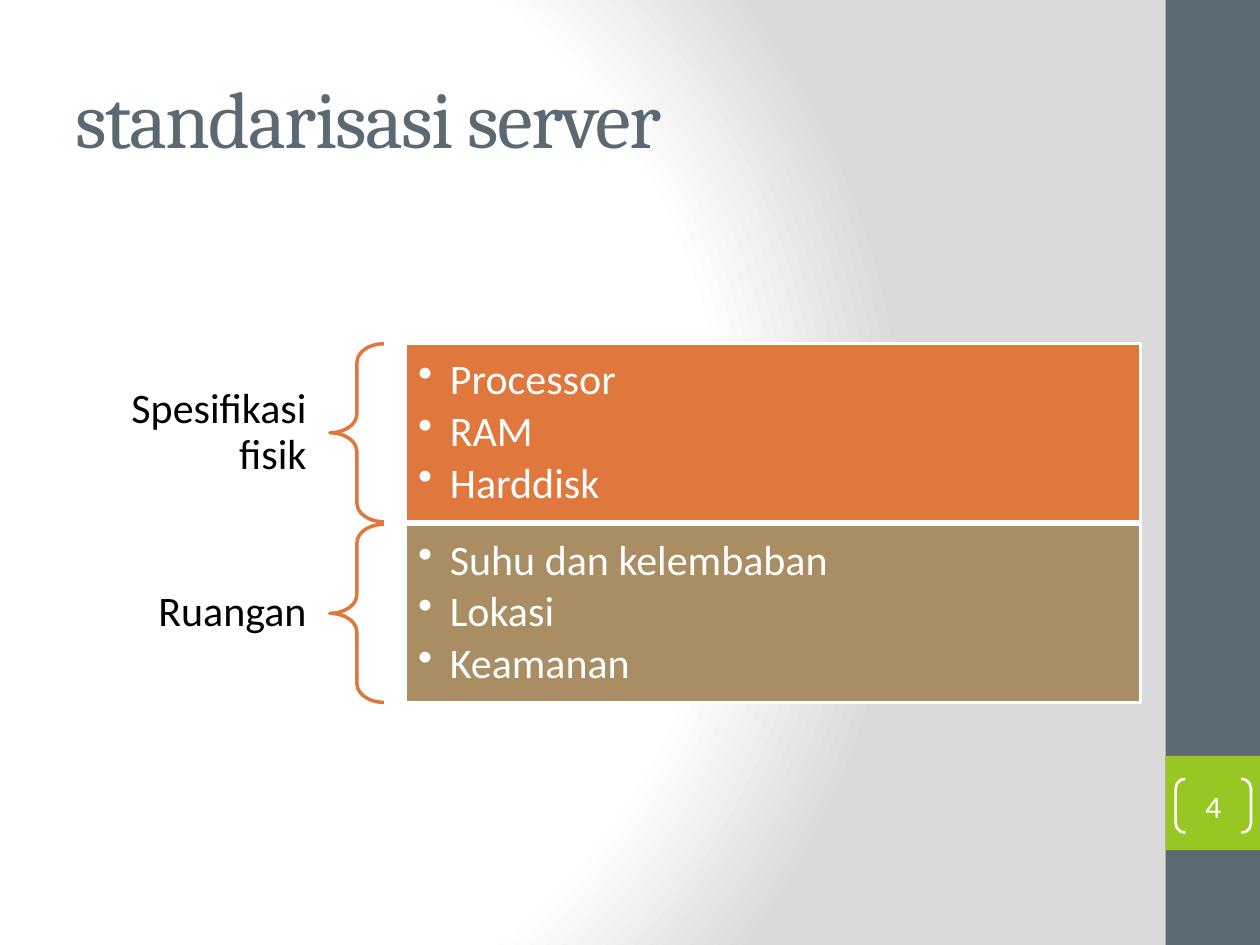
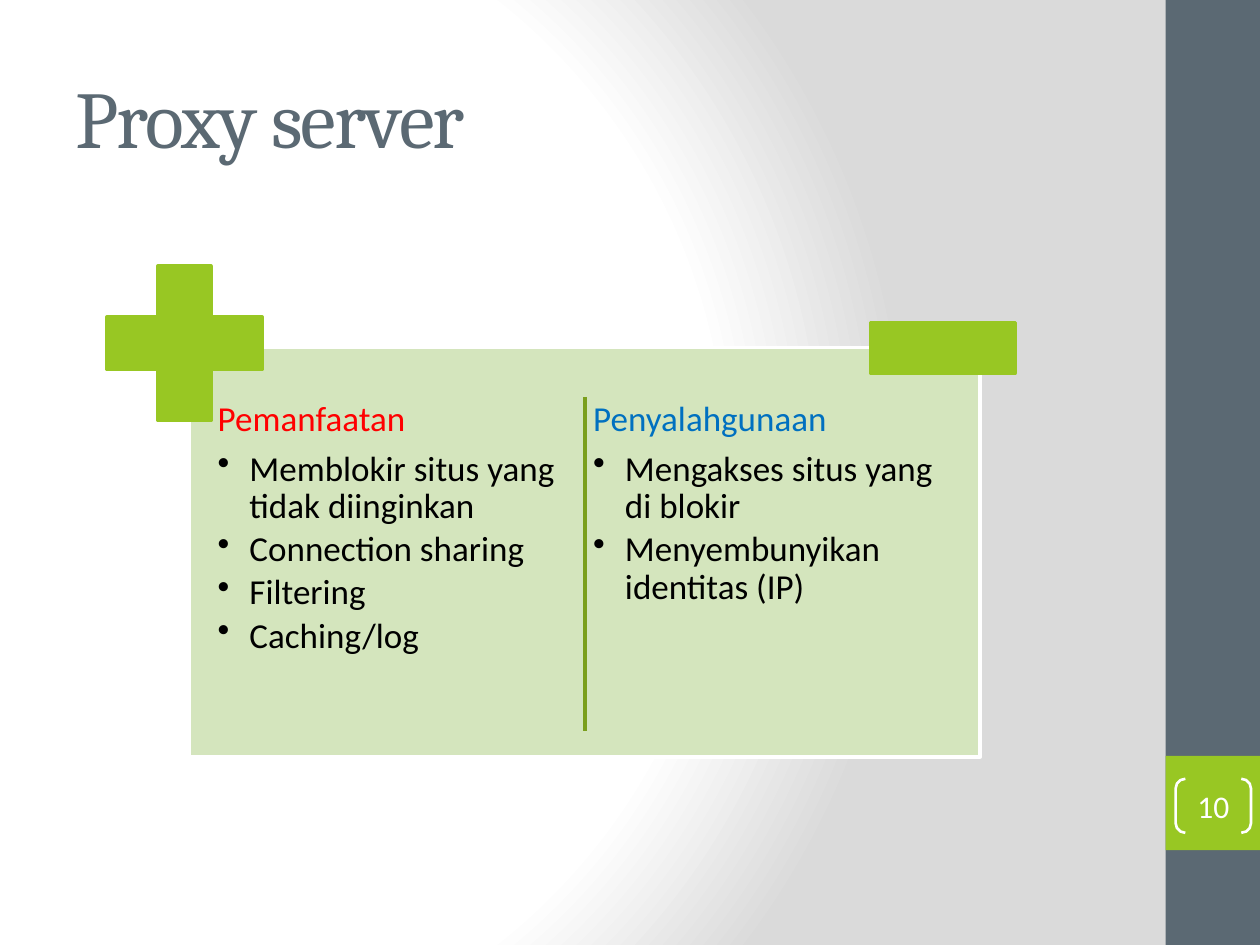
from dataclasses import dataclass
from typing import Optional

import pptx
import pptx.dml.color
import pptx.enum.shapes
import pptx.enum.text
import pptx.oxml
import pptx.oxml.ns
import pptx.util

Cm = pptx.util.Cm
Pt = pptx.util.Pt
SHAPE = pptx.enum.shapes.MSO_SHAPE
ALIGN = pptx.enum.text.PP_ALIGN
ANCHOR = pptx.enum.text.MSO_ANCHOR

SLATE, GREEN, ORANGE, TAN = "5B6973", "98C723", "E0773C", "A98D63"
PALE_GREEN, DARK_GREEN = "D4E5BD", "7A9F1C"
WHITE, BLACK, RED, BLUE = "FFFFFF", "000000", "FF0000", "0070C0"
HEADING_FONT, BODY_FONT = "Cambria", "Calibri"

SLIDE_WIDTH, SLIDE_HEIGHT = 25.4, 19.05
BAND_LEFT, BAND_WIDTH = 23.5, 1.9
BACKGROUND_STOPS = ((0, WHITE), (75, WHITE), (100, "DADADA"))


@dataclass(frozen=True)
class Box:
    left: float
    top: float
    width: float
    height: float

    def lengths(self) -> tuple:
        return Cm(self.left), Cm(self.top), Cm(self.width), Cm(self.height)


@dataclass(frozen=True)
class Line:
    text: str
    color: str
    size: float
    font: str = BODY_FONT
    bullet: bool = False
    align: Optional[ALIGN] = None
    line_spacing: Optional[float] = None
    space_after: float = 0
    tracking: int = 0


@dataclass(frozen=True)
class Category:
    name: str
    items: tuple
    fill: str


@dataclass(frozen=True)
class Column:
    left: float
    heading: str
    color: str
    items: tuple


def rgb(color: str) -> pptx.dml.color.RGBColor:
    return pptx.dml.color.RGBColor.from_string(color)


def set_background(master) -> None:
    master.background.fill.solid()
    properties = master.element.find(".//" + pptx.oxml.ns.qn("p:bgPr"))
    stops = "".join(
        f'<a:gs pos="{position * 1000}"><a:srgbClr val="{color}"/></a:gs>'
        for position, color in BACKGROUND_STOPS
    )
    gradient = pptx.oxml.parse_xml(
        f'<a:gradFill {pptx.oxml.ns.nsdecls("a")} rotWithShape="1"><a:gsLst>{stops}</a:gsLst>'
        '<a:path path="circle"><a:fillToRect l="20000" t="50000" r="100000" b="50000"/>'
        "</a:path></a:gradFill>"
    )
    properties.replace(properties[0], gradient)


def add_bullet(paragraph) -> None:
    properties = paragraph._p.get_or_add_pPr()
    indent = Cm(0.64)
    properties.set("marL", str(indent))
    properties.set("indent", str(-indent))
    properties.append(pptx.oxml.parse_xml(
        f'<a:buChar {pptx.oxml.ns.nsdecls("a")} char="•"/>'))


def write(shape, lines: list, anchor: ANCHOR, inset_x: float, inset_y: float) -> None:
    frame = shape.text_frame
    frame.word_wrap = True
    frame.vertical_anchor = anchor
    frame.margin_left = frame.margin_right = Cm(inset_x)
    frame.margin_top = frame.margin_bottom = Cm(inset_y)
    frame.text = "\n".join(line.text for line in lines)
    for paragraph, line in zip(frame.paragraphs, lines):
        if line.bullet:
            add_bullet(paragraph)
        paragraph.alignment = line.align or ALIGN.LEFT
        paragraph.line_spacing = line.line_spacing
        paragraph.space_after = Pt(line.space_after)
        for run in paragraph.runs:
            run.font.name = line.font
            run.font.size = Pt(line.size)
            run.font.color.rgb = rgb(line.color)
            if line.tracking:
                run.font._element.set("spc", str(line.tracking * 100))


def add_text(slide, box: Box, lines: list, anchor: ANCHOR,
             inset_x: float = 0.25, inset_y: float = 0.13) -> None:
    write(slide.shapes.add_textbox(*box.lengths()), lines, anchor, inset_x, inset_y)


def add_shape(slide, kind: SHAPE, box: Box, fill: Optional[str] = None,
              line: Optional[str] = None, line_width: float = 2, adjustments: tuple = ()):
    shape = slide.shapes.add_shape(kind, *box.lengths())
    shape.shadow.inherit = False
    for index, value in enumerate(adjustments):
        shape.adjustments[index] = value
    if fill:
        shape.fill.solid()
        shape.fill.fore_color.rgb = rgb(fill)
    else:
        shape.fill.background()
    if line:
        shape.line.color.rgb = rgb(line)
        shape.line.width = Pt(line_width)
    else:
        shape.line.fill.background()
    return shape


def add_vertical_line(slide, x: float, top: float, bottom: float, color: str) -> None:
    connector = slide.shapes.add_connector(
        pptx.enum.shapes.MSO_CONNECTOR.STRAIGHT, Cm(x), Cm(top), Cm(x), Cm(bottom))
    connector.line.color.rgb = rgb(color)
    connector.line.width = Pt(2)
    connector._element.spPr.append(
        pptx.oxml.parse_xml(f'<a:effectLst {pptx.oxml.ns.nsdecls("a")}/>'))


def bullet_lines(items: tuple, color: str, size: float) -> list:
    return [Line(item, color, size, bullet=True, line_spacing=0.9, space_after=size * 0.15)
            for item in items]


def heading_line(text: str, color: str, size: float, align: ALIGN = ALIGN.LEFT) -> Line:
    return Line(text, color, size, align=align, line_spacing=0.9, space_after=size * 0.35)


def add_base_slide(presentation, title: str, number: int):
    slide = presentation.slides.add_slide(presentation.slide_layouts[6])
    add_shape(slide, SHAPE.RECTANGLE, Box(BAND_LEFT, 0, BAND_WIDTH, SLIDE_HEIGHT), SLATE)
    add_shape(slide, SHAPE.RECTANGLE, Box(BAND_LEFT, 15.24, BAND_WIDTH, BAND_WIDTH), GREEN)
    add_text(slide, Box(1.27, 0.76, 21.16, 3.17),
             [Line(title, SLATE, 46, font=HEADING_FONT, tracking=-1)], ANCHOR.MIDDLE)
    bracket = add_shape(slide, SHAPE.DOUBLE_BRACKET, Box(23.7, 15.7, 1.52, 1.09),
                        line=WHITE, line_width=1.5, adjustments=(0.18,))
    write(bracket, [Line(str(number), WHITE, 18, align=ALIGN.CENTER)], ANCHOR.MIDDLE, 0, 0)
    return slide


def add_standards_slide(presentation) -> None:
    slide = add_base_slide(presentation, "standarisasi server", 4)
    categories = (
        Category("Spesifikasi fisik", ("Processor", "RAM", "Harddisk"), ORANGE),
        Category("Ruangan", ("Suhu dan kelembaban", "Lokasi", "Keamanan"), TAN),
    )
    first_top, height, pitch = 6.93, 3.59, 3.64
    for index, category in enumerate(categories):
        top = first_top + index * pitch
        add_text(slide, Box(1.22, top, 5.44, height),
                 [heading_line(category.name, BLACK, 24, ALIGN.RIGHT)],
                 ANCHOR.MIDDLE, 0.48, 0.18)
        add_shape(slide, SHAPE.LEFT_BRACE, Box(6.65, top, 1.09, height),
                  line=ORANGE, adjustments=(0.35, 0.5))
        panel = add_shape(slide, SHAPE.RECTANGLE, Box(8.18, top, 14.81, height),
                          category.fill, WHITE)
        write(panel, bullet_lines(category.items, WHITE, 24), ANCHOR.MIDDLE, 0.25, 0.25)


def add_proxy_slide(presentation) -> None:
    slide = add_base_slide(presentation, "Proxy server", 10)
    columns = (
        Column(4.29, "Pemanfaatan", RED,
               ("Memblokir situs yang tidak diinginkan", "Connection sharing",
                "Filtering", "Caching/log")),
        Column(11.86, "Penyalahgunaan", BLUE,
               ("Mengakses situs yang di blokir", "Menyembunyikan identitas (IP)")),
    )
    add_shape(slide, SHAPE.RECTANGLE, Box(3.81, 7.01, 15.95, 8.25), PALE_GREEN, WHITE)
    for column in columns:
        lines = [heading_line(column.heading, column.color, 20)]
        lines += bullet_lines(column.items, BLACK, 20)
        add_text(slide, Box(column.left, 7.98, 7.42, 7.06), lines, ANCHOR.TOP, 0.1, 0.1)
    add_shape(slide, SHAPE.CROSS, Box(2.16, 5.36, 3.12, 3.12), GREEN, GREEN,
              adjustments=(0.33,))
    add_shape(slide, SHAPE.RECTANGLE, Box(17.55, 6.5, 2.92, 1.02), GREEN, GREEN)
    add_vertical_line(slide, 11.79, 8, 14.73, DARK_GREEN)


def main() -> None:
    presentation = pptx.Presentation()
    presentation.slide_width = Cm(SLIDE_WIDTH)
    presentation.slide_height = Cm(SLIDE_HEIGHT)
    set_background(presentation.slide_master)
    add_standards_slide(presentation)
    add_proxy_slide(presentation)
    presentation.save("out.pptx")


if __name__ == "__main__":
    main()
